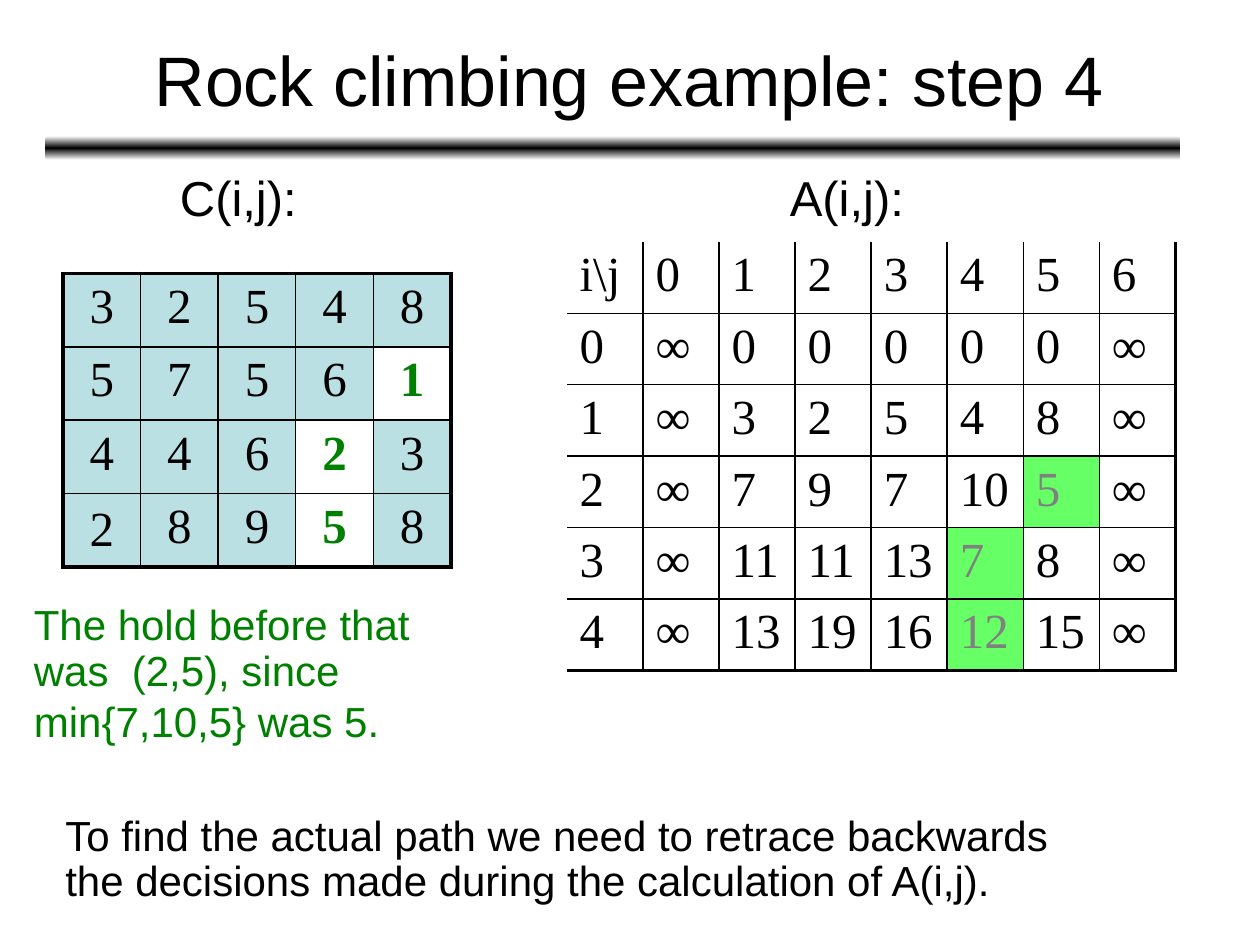
import copy

import pptx
import pptx.dml.color
import pptx.enum.shapes
import pptx.enum.text
import pptx.oxml
import pptx.oxml.ns
import pptx.util

Inches, Pt = pptx.util.Inches, pptx.util.Pt
ALIGN, ANCHOR = pptx.enum.text.PP_ALIGN, pptx.enum.text.MSO_ANCHOR
FIT = pptx.enum.text.MSO_AUTO_SIZE

TITLE = "Rock climbing example: step 4"
BAR = (0.36, 1.08, 9.01, 0.19)
BAR_STOPS = [(0, "FFFFFF"), (0.5, "000000"), (1, "FFFFFF")]

TEXTS = [
    {"lines": ["C(i,j):"], "at": (1.33, 1.33, 1.14, 0.52), "size": 28, "wrap": False},
    {"lines": ["A(i,j):"], "at": (6.17, 1.33, 1.16, 0.52), "size": 28, "wrap": False},
    {"lines": ["To find the actual path we need to retrace backwards",
               "the decisions made during the calculation of A(i,j)."],
     "at": (0.42, 6.42, 8.76, 0.82), "size": 24},
    {"lines": ["The hold before that", "was  (2,5), since", "min{7,10,5} was 5."],
     "at": (0.17, 4.75, 4.08, 1.24), "size": 24, "color": "008000", "last_gap": 3.5},
]

COSTS = {
    "rows": ["3 2 5 4 8", "5 7 5 6 1", "4 4 6 2 3", "2 8 9 5 8"],
    "at": (0.5, 2.17, 3.08, 2.33),
    "align": ALIGN.CENTER,
    "fill": "BBE0E3",
    "path": {(1, 4), (2, 3), (3, 3)},
    "path_fill": "FFFFFF",
    "path_font": {"color": "008000", "bold": True},
    "edges": {"L": 2.25, "R": 2.25, "T": 2.25, "B": 2.25},
    "middle": {(3, 0)},
}
TOTALS = {
    "rows": [r"i\j 0 1 2 3 4 5 6", "0 ∞ 0 0 0 0 0 ∞", "1 ∞ 3 2 5 4 8 ∞",
             "2 ∞ 7 9 7 10 5 ∞", "3 ∞ 11 11 13 7 8 ∞", "4 ∞ 13 19 16 12 15 ∞"],
    "at": (4.5, 1.92, 4.83, 3.4),
    "align": ALIGN.LEFT,
    "fill": None,
    "path": {(3, 6), (4, 5), (5, 5)},
    "path_fill": "66FF66",
    "path_font": {"color": "808080"},
    "edges": {"L": 0, "R": 2.25, "T": 0, "B": 2.25},
    "middle": set(),
}


def rgb(value):
    return pptx.dml.color.RGBColor.from_string(value)


def box(at):
    return [Inches(v) for v in at]


def write(p, text, size, name="Arial", color="000000", bold=False):
    r = p.add_run()
    r.text = text
    for key, value in {"size": Pt(size), "name": name, "bold": bold}.items():
        setattr(r.font, key, value)
    r.font.color.rgb = rgb(color)


def add_border(cell, side, width):
    paint = '<a:solidFill><a:srgbClr val="000000"/></a:solidFill>' if width else "<a:noFill/>"
    cell._tc.get_or_add_tcPr().append(pptx.oxml.parse_xml(
        f'<a:ln{side} {pptx.oxml.ns.nsdecls("a")} w="{int(Pt(width))}">{paint}</a:ln{side}>'))


def add_text(slide, lines, at, size, color="000000", wrap=True, last_gap=0):
    tf = slide.shapes.add_textbox(*box(at)).text_frame
    tf.word_wrap = wrap
    tf.auto_size = FIT.SHAPE_TO_FIT_TEXT
    for i, line in enumerate(lines):
        p = tf.paragraphs[0] if i == 0 else tf.add_paragraph()
        p.line_spacing = 0.9
        write(p, line, size, color=color)
    if last_gap:
        p.space_before = Pt(last_gap)


def add_grid(slide, grid):
    rows = [row.split() for row in grid["rows"]]
    n_rows, n_cols = len(rows), len(rows[0])
    left, top, width, height = grid["at"]
    table = slide.shapes.add_table(n_rows, n_cols, *box(grid["at"])).table
    table.first_row = table.horz_banding = False
    for col in table.columns:
        col.width = Inches(width / n_cols)
    for row in table.rows:
        row.height = Inches(height / n_rows)
    for i, row in enumerate(rows):
        for j, text in enumerate(row):
            cell = table.cell(i, j)
            on_path = (i, j) in grid["path"]
            outer = {"L": j == 0, "R": j == n_cols - 1, "T": i == 0, "B": i == n_rows - 1}
            for side, is_edge in outer.items():
                add_border(cell, side, grid["edges"][side] if is_edge else 1)
            fill = grid["path_fill"] if on_path else grid["fill"]
            if fill:
                cell.fill.solid()
                cell.fill.fore_color.rgb = rgb(fill)
            else:
                cell.fill.background()
            cell.vertical_anchor = ANCHOR.MIDDLE if (i, j) in grid["middle"] else ANCHOR.TOP
            p = cell.text_frame.paragraphs[0]
            p.alignment = grid["align"]
            write(p, text, 28, "Times New Roman", **(grid["path_font"] if on_path else {}))


def add_bar(slide):
    sp = slide.shapes.add_shape(pptx.enum.shapes.MSO_SHAPE.ROUNDED_RECTANGLE, *box(BAR))
    sp.shadow.inherit = False
    sp.line.fill.background()
    sp.fill.gradient()
    sp.fill.gradient_angle = 90
    stops = sp._element.spPr.find(".//" + pptx.oxml.ns.qn("a:gsLst"))
    stops.append(copy.deepcopy(stops[0]))
    for stop, (position, color) in zip(sp.fill.gradient_stops, BAR_STOPS):
        stop.position = position
        stop.color.rgb = rgb(color)


def add_title(slide):
    sp = slide.shapes.title
    sp.left, sp.top, sp.width, sp.height = box((0.74, 0, 8.5, 1.25))
    tf = sp.text_frame
    for key, value in {"vertical_anchor": ANCHOR.MIDDLE, "auto_size": FIT.NONE,
                       "word_wrap": True}.items():
        setattr(tf, key, value)
    tf.paragraphs[0].alignment = ALIGN.CENTER
    write(tf.paragraphs[0], TITLE, 40)


def main():
    prs = pptx.Presentation()
    prs.slide_width, prs.slide_height = Inches(10), Inches(7.5)
    slide = prs.slides.add_slide(prs.slide_layouts[5])
    add_bar(slide)
    add_title(slide)
    for grid in (COSTS, TOTALS):
        add_grid(slide, grid)
    for text in TEXTS:
        add_text(slide, **text)
    prs.save("out.pptx")


if __name__ == "__main__":
    main()
